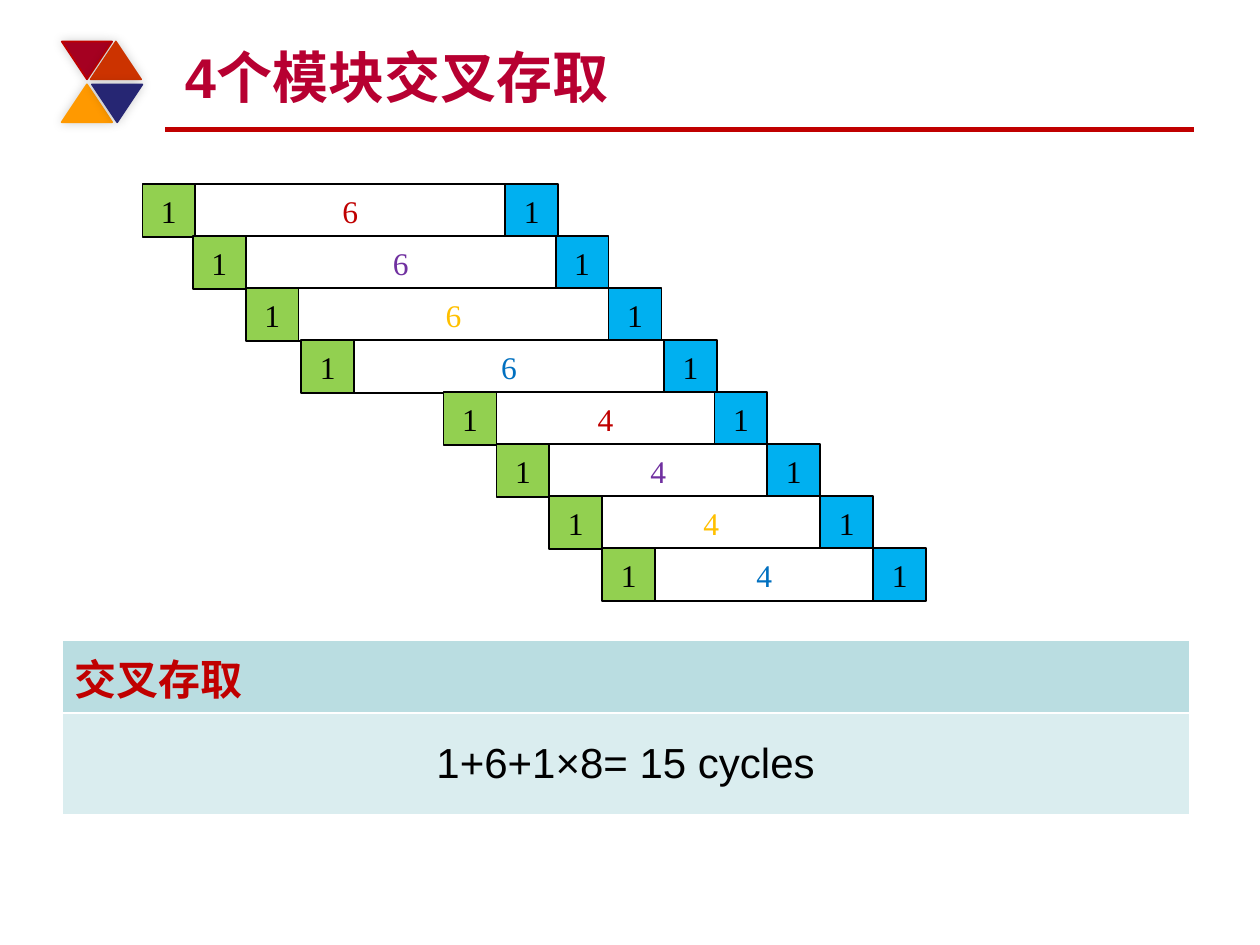
from lxml import etree
from pptx import Presentation
from pptx import util as u
from pptx.dml.color import RGBColor
from pptx.enum import shapes, text
from pptx.oxml import parse_xml
from pptx.oxml.ns import nsdecls, qn

COLUMNS, ROWS = 10, 7.5
GREEN, BLUE, WHITE, BLACK, RED = "92D050", "00B0F0", "FFFFFF", "000000", "C00000"
MODULE_COLORS = [RED, "7030A0", "FFC000", "0070C0"]
CELL = 0.42
ROW_STEP = 0.413
FIRST_ROW = 1.46
# Starting column of each access and the length of its middle stage
ACCESSES = [(1.13, "6"), (1.53, "6"), (1.95, "6"), (2.39, "6"),
            (3.52, "4"), (3.94, "4"), (4.36, "4"), (4.78, "4")]
STAGE_WIDTHS = {"6": 2.48, "4": 1.75}
TRIANGLES = [(0.49, 0.33, "A50021", 180), (0.72, 0.33, "CC3300", 0),
             (0.49, 0.67, "FF9900", 0), (0.73, 0.67, "262673", 180)]
SHADOW = (
    f'<a:effectLst {nsdecls("a")}><a:outerShdw blurRad="76200" dist="0" dir="18900000">'
    '<a:srgbClr val="000000"><a:alpha val="20000"/></a:srgbClr>'
    '</a:outerShdw></a:effectLst>'
)


def color(value):
    return RGBColor.from_string(value)


class SlideBuilder:
    """Places elements on a grid of COLUMNS by ROWS that fills the slide."""

    heading_font = "Arial"
    diagram_font = "Times New Roman"

    def __init__(self, presentation):
        self.slide = presentation.slides.add_slide(presentation.slide_layouts[6])
        self.column = presentation.slide_width / COLUMNS
        self.row = presentation.slide_height / ROWS

    def place(self, left, top, width, height):
        return (round(left * self.column), round(top * self.row),
                round(width * self.column), round(height * self.row))

    def set_text(self, frame, words, size, hue, font, bold=False, align=text.PP_ALIGN.LEFT):
        paragraph = frame.paragraphs[0]
        paragraph.text = words
        paragraph.alignment = align
        paragraph.font.name = font
        paragraph.font.size = u.Pt(size)
        paragraph.font.bold = bold
        paragraph.font.color.rgb = color(hue)

    def rule(self, left, right, top, hue, weight):
        x, y, width, _ = self.place(left, top, right - left, 0)
        line = self.slide.shapes.add_connector(
            shapes.MSO_CONNECTOR.STRAIGHT, x, y, x + width, y)
        line.line.color.rgb = color(hue)
        line.line.width = u.Pt(weight)
        etree.SubElement(line._element.spPr, qn("a:effectLst"))

    def shape(self, kind, box, fill, outline):
        shape = self.slide.shapes.add_shape(kind, *self.place(*box))
        shape.shadow.inherit = False
        shape.fill.solid()
        shape.fill.fore_color.rgb = color(fill)
        shape.line.color.rgb = color(outline)
        shape.line.width = u.Pt(1)
        return shape

    def triangle(self, left, top, fill, rotation):
        outline = RED if fill == "A50021" else fill
        shape = self.shape(shapes.MSO_SHAPE.ISOSCELES_TRIANGLE,
                           (left, top, 0.4, 0.3), fill, outline)
        shape.rotation = rotation
        properties = shape._element.spPr
        properties.replace(properties.find(qn("a:effectLst")), parse_xml(SHADOW))

    def stage(self, left, top, width, words, fill, hue=BLACK):
        shape = self.shape(shapes.MSO_SHAPE.RECTANGLE,
                           (left, top, width, CELL), fill, BLACK)
        frame = shape.text_frame
        frame.margin_left = frame.margin_right = 0
        frame.margin_top = frame.margin_bottom = 0
        frame.vertical_anchor = text.MSO_ANCHOR.MIDDLE
        self.set_text(frame, words, 18, hue, self.diagram_font, align=text.PP_ALIGN.CENTER)

    def access(self, left, top, cycles, hue):
        """Draws one memory access: send address, wait, transfer data."""
        width = STAGE_WIDTHS[cycles]
        self.stage(left + 0.41, top, width, cycles, WHITE, hue)
        self.stage(left, top, CELL, "1", GREEN)
        self.stage(left + 0.4 + width, top, CELL, "1", BLUE)

    def title(self, words):
        box = self.slide.shapes.add_textbox(*self.place(1.37, 0.25, 8, 0.67))
        frame = box.text_frame
        frame.word_wrap = True
        frame.vertical_anchor = text.MSO_ANCHOR.BOTTOM
        self.set_text(frame, words, 32, "B70031", self.heading_font, bold=True)

    def table(self, left, top, width, rows):
        """Adds a one-column table; rows hold words, height, fill, hue, bold, align."""
        heights = [round(row[1] * self.row) for row in rows]
        table = self.slide.shapes.add_table(
            len(rows), 1, *self.place(left, top, width, 0)[:3], sum(heights)).table
        for index, (words, _, fill, hue, bold, align) in enumerate(rows):
            table.rows[index].height = heights[index]
            cell = table.cell(index, 0)
            cell.fill.solid()
            cell.fill.fore_color.rgb = color(fill)
            cell.vertical_anchor = text.MSO_ANCHOR.MIDDLE
            self.set_text(cell.text_frame, words, 24, hue, self.heading_font, bold, align)


def main():
    presentation = Presentation()
    presentation.slide_width = u.Inches(10)
    presentation.slide_height = u.Inches(7.5)
    builder = SlideBuilder(presentation)

    builder.rule(1.31, 9.48, 1.03, RED, 3)
    for triangle in TRIANGLES:
        builder.triangle(*triangle)
    builder.title("4个模块交叉存取")

    for index, (left, cycles) in enumerate(ACCESSES):
        hue = MODULE_COLORS[index % len(MODULE_COLORS)]
        builder.access(left, FIRST_ROW + index * ROW_STEP, cycles, hue)

    builder.table(0.49, 5.08, 8.95, [
        ("交叉存取", 0.58, "BADDE1", RED, True, text.PP_ALIGN.LEFT),
        ("1+6+1×8= 15 cycles", 0.81, "DAEDEF", BLACK, False, text.PP_ALIGN.CENTER),
    ])
    presentation.save("out.pptx")


if __name__ == "__main__":
    main()
